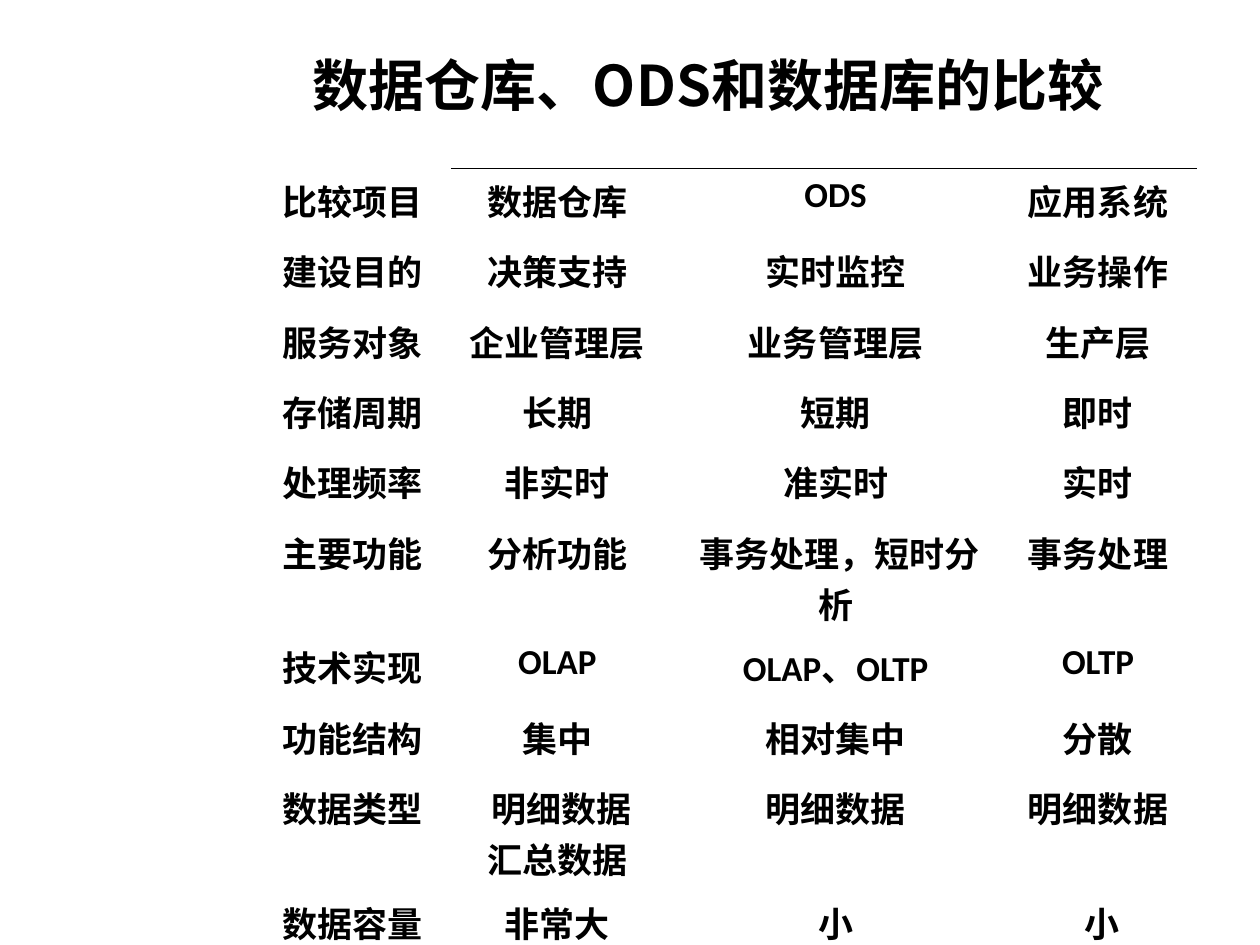
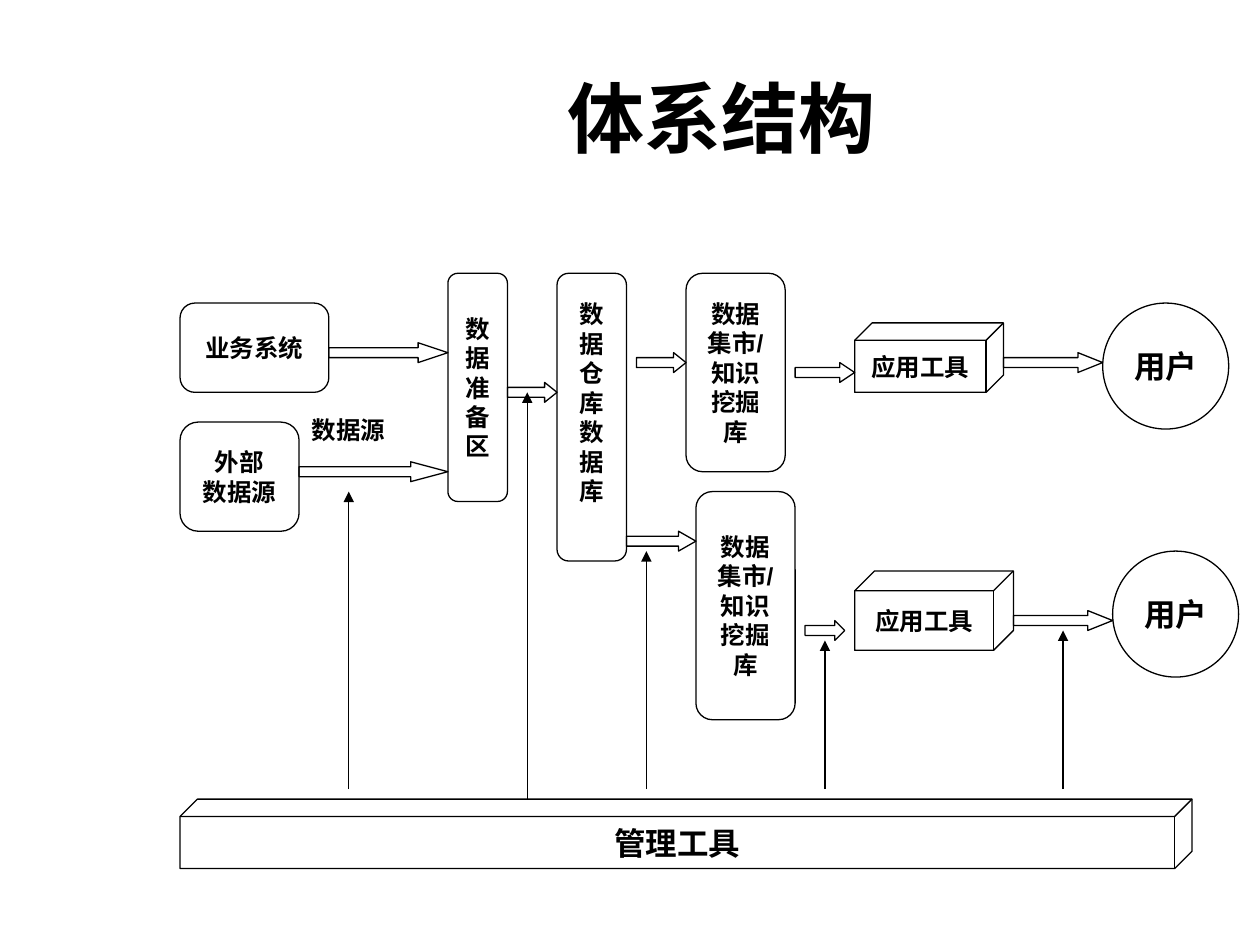
from lxml.etree import SubElement
from pptx import Presentation
from pptx.dml.color import RGBColor
from pptx.enum.shapes import MSO_CONNECTOR, MSO_SHAPE as SHAPE
from pptx.enum.text import MSO_ANCHOR as ANCHOR, PP_ALIGN as ALIGN
from pptx.oxml.ns import qn
from pptx.util import Cm, Pt

BLACK = "000000"
WHITE = "FFFFFF"
CJK_FONT = "Noto Sans CJK SC"
LATIN_FONT = "Calibri"
SHAPE_FONT = "Arial"
PLAIN_TABLE_STYLE = "{2D5ABB26-0587-4C30-8999-92F81FD0307C}"

# Within a cell "\n" starts a paragraph and "|" starts a run.
COMPARISON = [
    ["比较项目 ", "数据仓库 ", "ODS ", "应用系统 "],
    ["建设目的 ", "决策支持 ", "实时监控 ", "业务操作 "],
    ["服务对象 ", "企业管理层 ", "业务管理层 ", "生产层 "],
    ["存储周期 ", "长期 ", "短期 ", "即时 "],
    ["处理频率 ", "非实时 ", "准实时 ", "实时 "],
    ["主要功能 ", "分析功能 ", "事务处理，短时分析 ", "事务处理 "],
    ["技术实现 ", "OLAP ", "OLAP|、|OLTP ", "OLTP "],
    ["功能结构 ", "集中 ", "相对集中 ", "分散 "],
    ["数据类型 ", "明细数据\n汇总数据 ", "明细数据 ", "明细数据 "],
    ["数据容量 ", "非常大 ", "小 ", "小"],
]
COLUMN_WIDTHS = [3.81, 4.45, 6.77, 3.81]
ROW_HEIGHT = 1.42
TWO_LINE_ROW_HEIGHT = 2.31
TWO_LINE_ROWS = {"主要功能 ", "数据类型 "}

# Diagram parts: left, top, width, height in cm from the diagram's corner.
MART_LINES = "数据\n集市/\n知识\n挖掘\n库"
FILLED_STAGES = [
    ("业务系统", 0, 0.6, 3, 1.8),
    ("外部\n数据源", 0, 3, 2.4, 2.2),
    ("数\n据\n准\n备\n区", 5.4, 0, 1.2, 4.6),
]
MARTS = [
    (MART_LINES, 10.2, 0, 2, 4),
    (MART_LINES, 10.4, 4.4, 2, 4.6),
]
TOOLS = [
    ("应用工具", 13.6, 1, 3, 1.4),
    ("应用工具", 13.6, 6, 3.2, 1.6),
]
USERS = [(18.6, 0.6), (18.8, 5.6)]
USER_SIZE = 2.54
FLOW_HEIGHT = 0.4
FLOWS = [  # left, top, width
    (3, 1.4, 2.4), (2.4, 3.8, 3), (6.6, 2.2, 1), (9.2, 1.6, 1), (9, 5.2, 1.4),
    (12.4, 1.8, 1.2), (12.6, 7, 0.8), (16.6, 1.6, 2), (16.8, 6.8, 2),
]
CONTROL_LINES = [  # x, start y, end y
    (3.4, 10.4, 4.4), (7, 10.6, 2.4), (9.4, 10.4, 5.6),
    (13, 10.4, 7.4), (17.8, 10.4, 7.2),
]


def colour(value):
    return RGBColor.from_string(value)


def add_span(para, text, size, font, east_font=LATIN_FONT):
    span = para.add_run()
    span.text = text
    span.font.size = Pt(size)
    span.font.bold = True
    span.font.name = font
    span.font.color.rgb = colour(BLACK)
    east = SubElement(span.font._element, qn("a:ea"))
    east.set("typeface", east_font)


def paragraphs(frame, text, align):
    """Yield each paragraph of the frame with its line of text."""
    for index, line in enumerate(text.split("\n")):
        para = frame.add_paragraph() if index else frame.paragraphs[0]
        para.alignment = align
        yield para, line


def add_title(page, text, size, font, left, top, width, height):
    box = page.shapes.add_textbox(Cm(left), Cm(top), Cm(width), Cm(height))
    frame = box.text_frame
    frame.word_wrap = True
    frame.vertical_anchor = ANCHOR.MIDDLE
    for para, line in paragraphs(frame, text, ALIGN.CENTER):
        add_span(para, line, size, font)


def draw_top_border(cell):
    line = SubElement(cell._tc.get_or_add_tcPr(), qn("a:lnT"), w=str(Pt(0.45)))
    fill = SubElement(line, qn("a:solidFill"))
    SubElement(fill, qn("a:srgbClr"), val=BLACK)


def add_comparison_table(page, left, top):
    heights = [TWO_LINE_ROW_HEIGHT if row[0] in TWO_LINE_ROWS else ROW_HEIGHT
               for row in COMPARISON]
    holder = page.shapes.add_table(
        len(COMPARISON), len(COLUMN_WIDTHS), Cm(left), Cm(top),
        Cm(sum(COLUMN_WIDTHS)), Cm(sum(heights)))
    table = holder.table
    table.first_row = table.horz_banding = False
    table._tbl.tblPr.find(qn("a:tableStyleId")).text = PLAIN_TABLE_STYLE
    for column, width in zip(table.columns, COLUMN_WIDTHS):
        column.width = Cm(width)
    for row, height in zip(table.rows, heights):
        row.height = Cm(height)
    for row_index, row in enumerate(COMPARISON):
        for column_index, text in enumerate(row):
            cell = table.cell(row_index, column_index)
            if row_index == 0 and column_index > 0:
                draw_top_border(cell)
            cell.fill.background()
            for para, line in paragraphs(cell.text_frame, text, ALIGN.CENTER):
                for piece in line.split("|"):
                    font = LATIN_FONT if piece.isascii() else CJK_FONT
                    add_span(para, piece, 20, font, CJK_FONT)


def add_part(page, kind, left, top, width, height, text="", size=14, fill=None):
    """Add an outlined shape with centred text that does not wrap."""
    part = page.shapes.add_shape(kind, Cm(left), Cm(top), Cm(width), Cm(height))
    part.shadow.inherit = False
    if fill:
        part.fill.solid()
        part.fill.fore_color.rgb = colour(fill)
    else:
        part.fill.background()
    part.line.color.rgb = colour(BLACK)
    part.line.width = Pt(0.75)
    frame = part.text_frame
    frame.word_wrap = False
    frame.vertical_anchor = ANCHOR.MIDDLE
    if text:
        for para, line in paragraphs(frame, text, ALIGN.CENTER):
            add_span(para, line, size, SHAPE_FONT)
    return part


def add_control_line(page, x, start, end):
    link = page.shapes.add_connector(
        MSO_CONNECTOR.STRAIGHT, Cm(x), Cm(start), Cm(x), Cm(end))
    link.line.color.rgb = colour(BLACK)
    link.line.width = Pt(0.75)
    SubElement(link.line._get_or_add_ln(), qn("a:tailEnd"), type="triangle")
    SubElement(link._element.spPr, qn("a:effectLst"))


def add_source_label(page, left, top):
    box = page.shapes.add_textbox(Cm(left), Cm(top), Cm(2.4), Cm(0.86))
    box.text_frame.word_wrap = True
    add_span(box.text_frame.paragraphs[0], "数据源", 14, SHAPE_FONT)


def add_architecture(page, left, top):
    def place(kind, x, y, width, height, *text, **style):
        return add_part(page, kind, left + x, top + y, width, height, *text, **style)

    stage = SHAPE.FLOWCHART_ALTERNATE_PROCESS
    for text, *area in FILLED_STAGES:
        place(stage, *area, text, fill=WHITE)
    for text, *area in MARTS:
        place(stage, *area, text)
    warehouse = place(stage, 7.6, 0, 1.4, 5.8, "数\n据\n仓\n库\n数\n据\n库")
    warehouse.text_frame.margin_bottom = Cm(0.72)
    for text, *area in TOOLS:
        place(SHAPE.CUBE, *area, text)
    for x, y in USERS:
        place(SHAPE.OVAL, x, y, USER_SIZE, USER_SIZE, "用户", 18)
    place(SHAPE.CUBE, 0, 10.6, 20.4, 1.4, "管理工具", 18)
    for x, y, width in FLOWS:
        flow = place(SHAPE.RIGHT_ARROW, x, y, width, FLOW_HEIGHT)
        flow.adjustments[1] = width / FLOW_HEIGHT / 4
    for x, start, end in CONTROL_LINES:
        add_control_line(page, left + x, top + start, top + end)
    add_source_label(page, left + 2.4, top + 2.74)


def main():
    deck = Presentation()
    deck.slide_width, deck.slide_height = Cm(25.4), Cm(19.05)
    blank = deck.slide_layouts[6]

    page = deck.slides.add_slide(blank)
    add_title(page, "数据仓库、ODS和数据库的比较", 32, CJK_FONT, 5.92, 0.43, 16.71, 2.54)
    add_comparison_table(page, 5.28, 3.39)

    page = deck.slides.add_slide(blank)
    add_title(page, "体系结构", 44, LATIN_FONT, 4.95, 0.76, 19.18, 3.18)
    add_architecture(page, 3.63, 5.51)

    deck.save("out.pptx")


if __name__ == "__main__":
    main()
